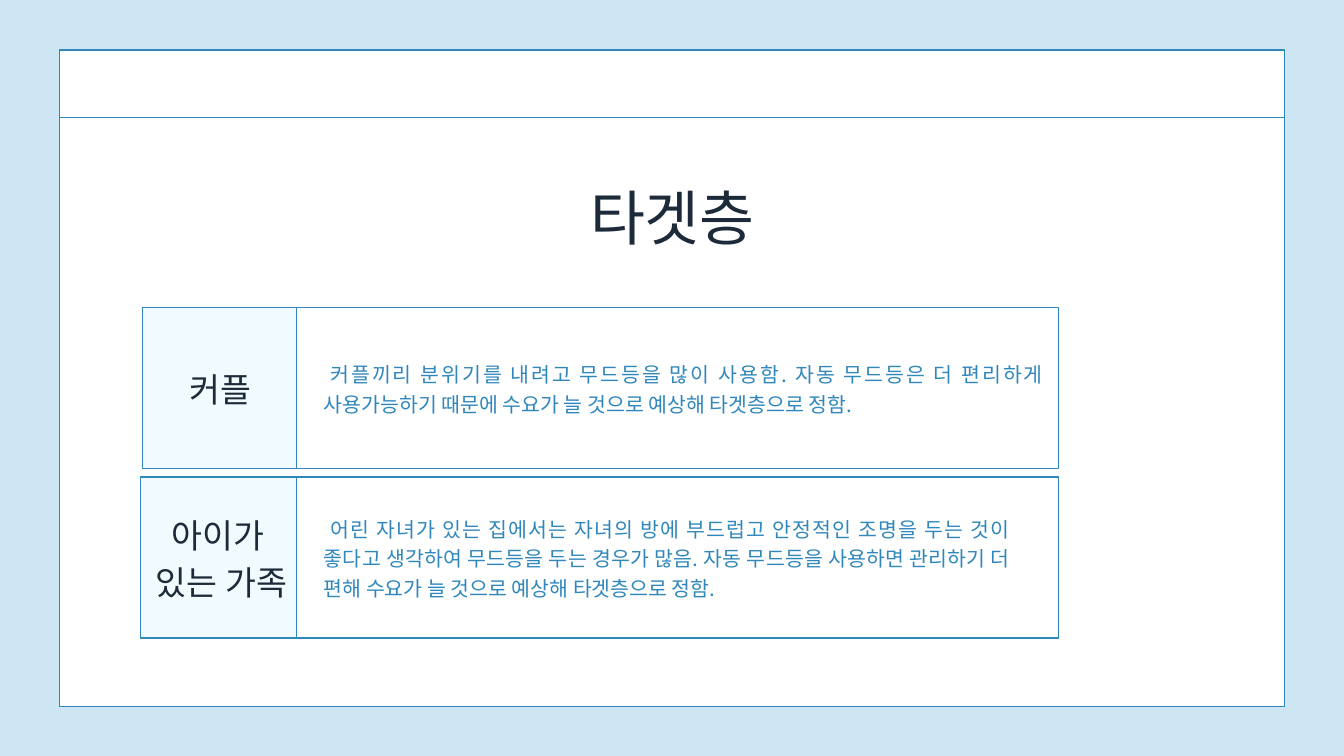
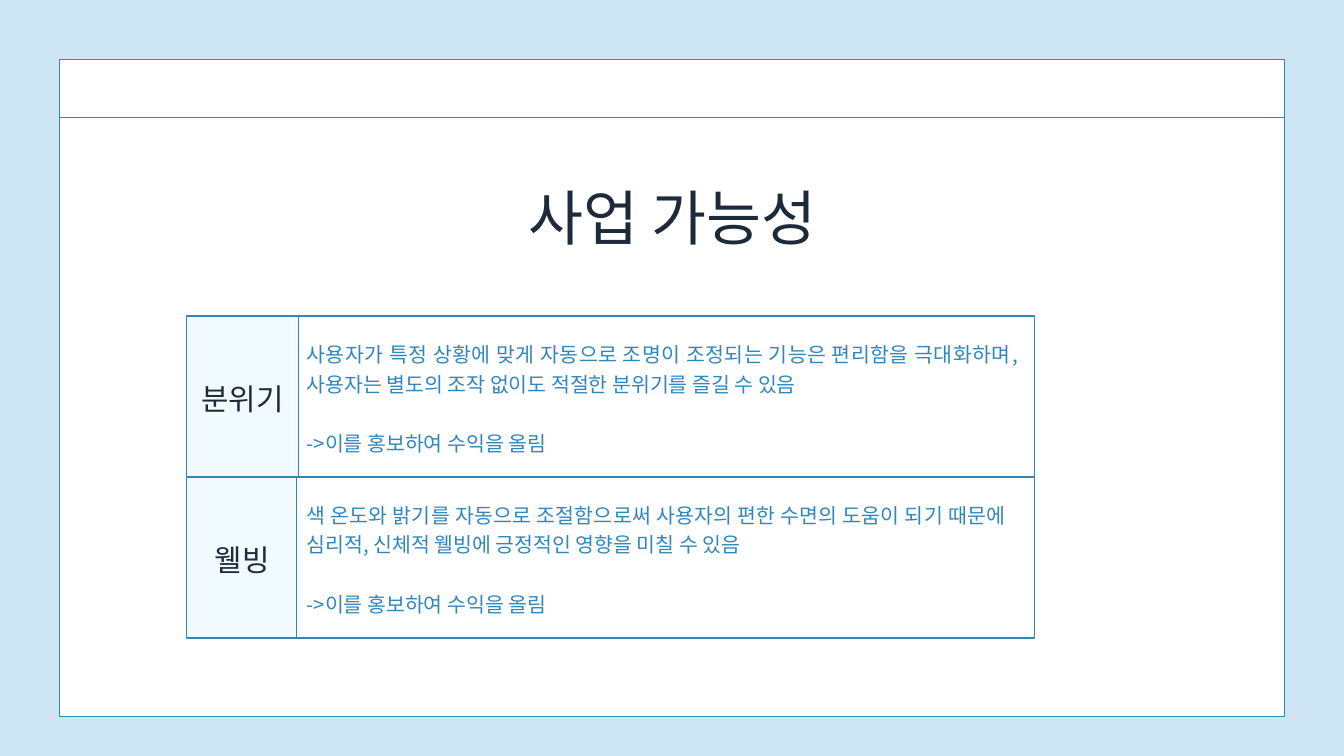
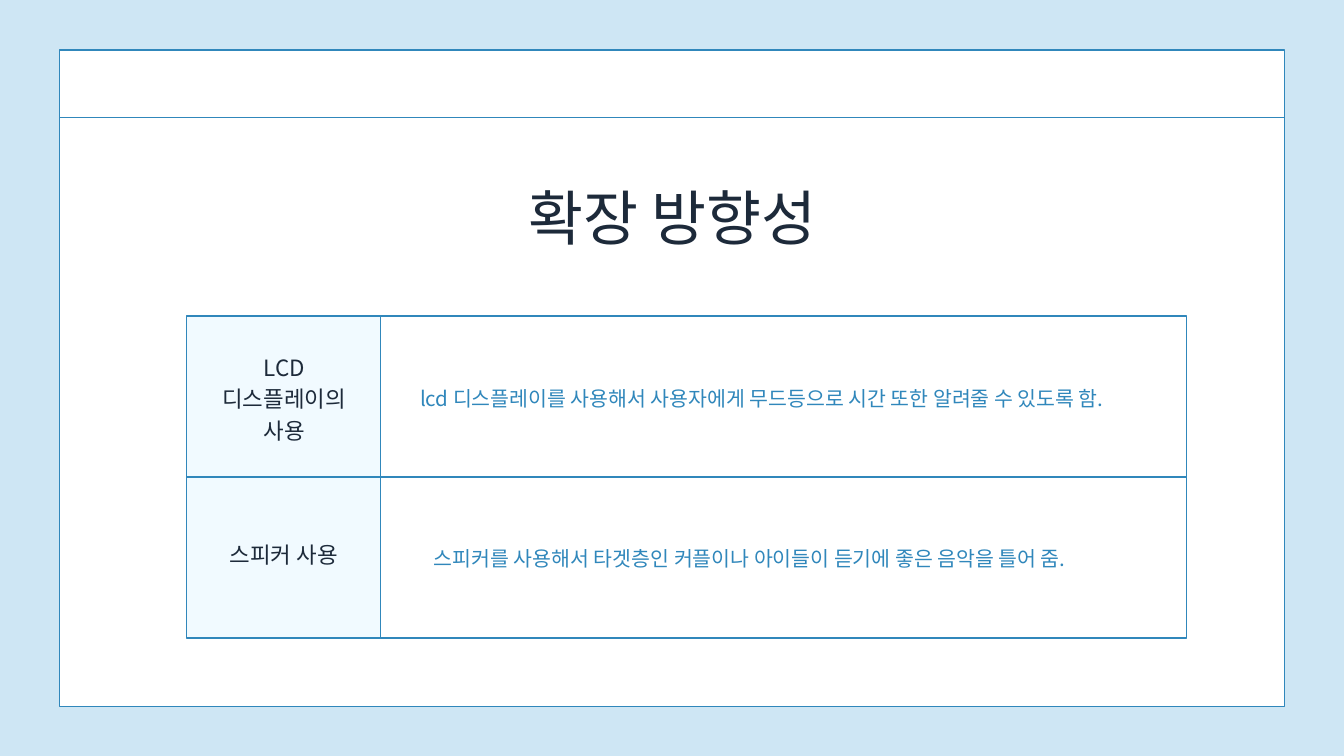
from pptx import Presentation
from pptx.dml.color import RGBColor
from pptx.enum import shapes, text
from pptx.oxml.ns import qn
from pptx.util import Pt
from lxml import etree

SKY, WHITE, PALE = "CEE6F4", "FFFFFF", "F1FAFF"
BLUE, NAVY = "3087BB", "1D2A3A"
FONT = "Noto Sans CJK KR"
MID, LEFT = text.PP_ALIGN.CENTER, text.PP_ALIGN.JUSTIFY
EDGE, WIDE, TALL = 64, 1312.5, 703.5    # frame left, width, height
ROW = 172.5                             # height of every table row


def color(code):
    return RGBColor.from_string(code)


class Deck:
    def __init__(self):
        self.prs = Presentation()
        self.prs.slide_width, self.prs.slide_height = Pt(1440), Pt(810)
        self.slide = None

    def page(self, title, top):
        """Start a slide with its frame, header line and title."""
        self.slide = self.prs.slides.add_slide(self.prs.slide_layouts[6])
        fill = self.slide.background.fill
        fill.solid()
        fill.fore_color.rgb = color(SKY)
        self.box(EDGE, top, WIDE, TALL, WHITE)
        self.rule(EDGE, EDGE + WIDE, 126)
        self.words(500, 181, 441, [title], 64, 89.6, NAVY, MID)

    def box(self, x, y, w, h, fill):
        shape = self.slide.shapes.add_shape(
            shapes.MSO_SHAPE.RECTANGLE, Pt(x), Pt(y), Pt(w), Pt(h))
        shape.shadow.inherit = False
        shape.fill.solid()
        shape.fill.fore_color.rgb = color(fill)
        shape.line.color.rgb = color(BLUE)
        shape.line.width = Pt(1.5)

    def rule(self, x1, x2, y):
        line = self.slide.shapes.add_connector(
            shapes.MSO_CONNECTOR.STRAIGHT, Pt(x1), Pt(y), Pt(x2), Pt(y))
        line.line.color.rgb = color(BLUE)
        line.line.width = Pt(1.5)
        etree.SubElement(line._element.spPr, qn("a:effectLst"))

    def words(self, x, y, w, lines, size, lead, ink, align, indent=(), gap=0):
        """Set lines of text; indent lists first-line indents, gap parts the lines."""
        area = self.slide.shapes.add_textbox(
            Pt(x), Pt(y), Pt(w), Pt(lead * len(lines)))
        frame = area.text_frame
        frame.word_wrap = True
        frame.margin_left = frame.margin_right = 0
        frame.margin_top = frame.margin_bottom = 0
        for i, line in enumerate(lines):
            par = frame.add_paragraph() if i else frame.paragraphs[0]
            par.text = line
            par.alignment = align
            par.line_spacing = Pt(lead)
            if i and gap:
                par.space_before = Pt(gap)
            if i < len(indent):
                par._p.get_or_add_pPr().set("indent", str(Pt(indent[i])))
            par.font.size = Pt(size)
            par.font.color.rgb = color(ink)
            par.font.name = FONT
            props = par._p.pPr.find(qn("a:defRPr"))
            etree.SubElement(props, qn("a:ea")).set("typeface", FONT)

    def cells(self, x, y, w, split, end):
        """Draw one table row: a label cell, then a body cell over it."""
        self.box(x, y, w, ROW, PALE)
        self.box(split, y, end - split, ROW, WHITE)

    def label(self, x, y, w, lines, size, indent=()):
        self.words(x, y, w, lines, size, size * 1.4, NAVY, MID, indent)

    def body(self, x, y, w, lines, indent=()):
        self.words(x, y, w, lines, 22, 31.9, BLUE, LEFT, indent, gap=31.9)


def main():
    deck = Deck()

    # Target groups
    deck.page("타겟층", 53.5)
    deck.cells(152.5, 329.5, 167.5, 317.5, 1134)
    deck.cells(150.5, 511, 167.5, 317.5, 1134)
    deck.label(201.5, 388, 68.5, ["커플"], 36)
    deck.label(150.5, 544.5, 165.5, ["아이가", "있는 가족"], 36, (0, 8))
    deck.body(347, 382.5, 770.5, [
        "커플끼리 분위기를 내려고 무드등을 많이 사용함. 자동 무드등은 더 편리하게 "
        "사용가능하기 때문에 수요가 늘 것으로 예상해 타겟층으로 정함."], (7,))
    deck.body(347, 548, 735, [
        "어린 자녀가 있는 집에서는 자녀의 방에 부드럽고 안정적인 조명을 두는 것이 "
        "좋다고 생각하여 무드등을 두는 경우가 많음. 자동 무드등을 사용하면 관리하기 더 "
        "편해 수요가 늘 것으로 예상해 타겟층으로 정함."], (7,))

    # Business potential
    deck.page("사업 가능성", 64)
    deck.cells(200, 338.5, 120, 320, 1108.5)
    deck.cells(200, 511, 120, 317.5, 1108.5)
    deck.label(214, 401.5, 92, ["분위기"], 32)
    deck.label(225.5, 574, 68.5, ["웰빙"], 32)
    profit = "->이를 홍보하여 수익을 올림"
    deck.body(328.5, 361, 762, [
        "사용자가 특정 상황에 맞게 자동으로 조명이 조정되는 기능은 편리함을 극대화하며, "
        "사용자는 별도의 조작 없이도 적절한 분위기를 즐길 수 있음", profit])
    deck.body(328.5, 533, 749, [
        "색 온도와 밝기를 자동으로 조절함으로써 사용자의 편한 수면의 도움이 되기 때문에 "
        "심리적, 신체적 웰빙에 긍정적인 영향을 미칠 수 있음", profit])

    # Ways to expand
    deck.page("확장 방향성", 53.5)
    for top in (338.5, 511):
        deck.cells(200, top, 208, 407.5, 1271.5)
    deck.label(227, 374.5, 155, ["LCD", "디스플레이의 사용"], 24)
    deck.label(200, 575, 208, ["스피커 사용"], 24)
    deck.body(450, 407.5, 779, [
        "lcd 디스플레이를 사용해서 사용자에게 무드등으로 시간 또한 알려줄 수 있도록 함."])
    deck.body(465, 579.5, 749.5, [
        "스피커를 사용해서 타겟층인 커플이나 아이들이 듣기에 좋은 음악을 틀어 줌."])

    deck.prs.save("out.pptx")


if __name__ == "__main__":
    main()
